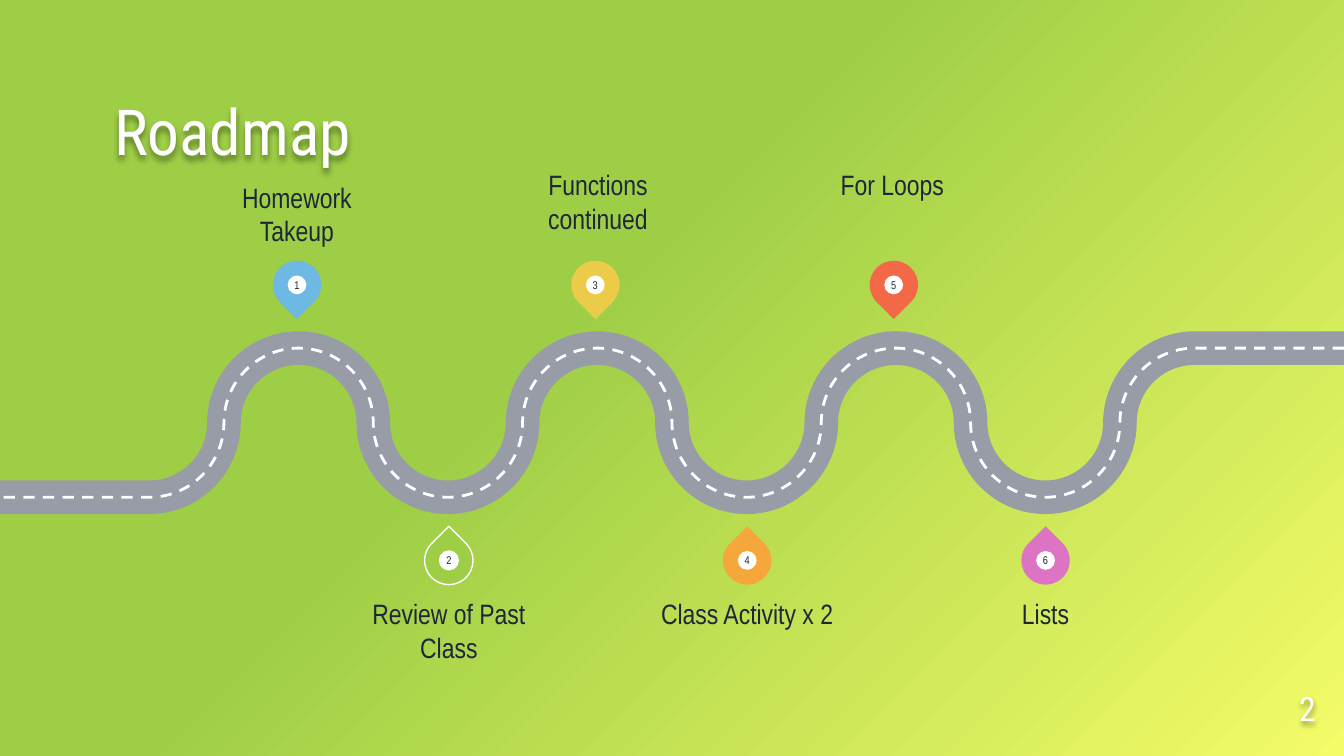
from copy import deepcopy

from lxml import etree
from pptx import Presentation
from pptx.dml.color import RGBColor
from pptx.enum.dml import MSO_LINE
from pptx.enum.shapes import MSO_SHAPE
from pptx.enum.text import MSO_ANCHOR, PP_ALIGN
from pptx.oxml import parse_xml
from pptx.oxml.ns import nsdecls, qn
from pptx.util import Inches, Pt

TEAR, OVAL = MSO_SHAPE.TEAR, MSO_SHAPE.OVAL
TOP, MIDDLE, BOTTOM = MSO_ANCHOR.TOP, MSO_ANCHOR.MIDDLE, MSO_ANCHOR.BOTTOM
LEFT, CENTER, RIGHT = PP_ALIGN.LEFT, PP_ALIGN.CENTER, PP_ALIGN.RIGHT
DASH = MSO_LINE.DASH

WIDTH = 10
HEIGHT = WIDTH * 9 / 16
HEAD_FONT, BODY_FONT = "Roboto Condensed", "Arial Narrow"
COLORS = {
    "green": "9ECE46", "yellow": "F4FC68", "white": "FFFFFF", "ink": "1E263A",
    "road": "989CA7", "blue": "6DB9E4", "gold": "ECCB49", "red": "F36846",
    "orange": "F5A73B", "pink": "DD73C3",
}
# label, pin colour, left and top of the label, its vertical anchor
STOPS = [
    ("Homework Takeup", "blue", 1.51, 1.26, BOTTOM),
    ("Review of Past Class", "green", 2.64, 4.44, TOP),
    ("Functions continued", "gold", 3.75, 1.25, TOP),
    ("Class Activity x 2", "orange", 4.86, 4.44, TOP),
    ("For Loops", "red", 5.94, 1.25, TOP),
    ("Lists", "pink", 7.08, 4.44, TOP),
]
UPPER_PIN = (2.03, 1.94)
LOWER_PIN = (3.16, 3.99)
PIN_PITCH = 2.22
QUARTER_TURNS = 14
BEND = 0.55  # handle length that makes a curve a quarter circle
SHADOW = (
    f'<a:effectLst {nsdecls("a")}><a:outerShdw blurRad="38100" dist="25400" '
    'dir="5400000" algn="tl" rotWithShape="0"><a:srgbClr val="000000">'
    '<a:alpha val="40000"/></a:srgbClr></a:outerShdw></a:effectLst>'
)


def color(name):
    return RGBColor.from_string(COLORS[name])


def write(shape, text, size, font, ink, align, anchor):
    frame = shape.text_frame
    frame.word_wrap = True
    frame.vertical_anchor = anchor
    frame.margin_left = frame.margin_right = 0
    frame.margin_top = frame.margin_bottom = 0
    para = frame.paragraphs[0]
    para.alignment = align
    span = para.add_run()
    span.text = text
    span.font.size = Pt(size)
    span.font.name = font
    span.font.color.rgb = color(ink)


def add_text(page, box, *style):
    text_box = page.shapes.add_textbox(*map(Inches, box))
    write(text_box, *style)
    return text_box


def add_heading(page, box, text, size, align):
    """Place white text with a soft shadow."""
    heading = add_text(page, box, text, size, HEAD_FONT, "white", align, BOTTOM)
    heading.text_frame.paragraphs[0].line_spacing = 0.9
    heading._element.spPr.append(parse_xml(SHADOW))


def paint_background(page):
    fill = page.background.fill
    fill.gradient()
    fill.gradient_angle = 315
    first = page.element.find(".//" + qn("a:gs"))
    first.addnext(deepcopy(first))
    stops = [(0, "green"), (0.42, "green"), (1, "yellow")]
    for stop, (position, name) in zip(fill.gradient_stops, stops):
        stop.position = position
        stop.color.rgb = color(name)


def road_points(left, top, width, height):
    """Return the road from right to left, three points for each quarter turn."""
    step, radius = width / 18, height / 2
    levels = [top, top + radius, top + height, top + radius]
    knots = [(left + width - step * (2 + turn), levels[turn % 4])
             for turn in range(QUARTER_TURNS + 1)]
    points = [(left + width, top), knots[0]]
    for turn, ((x1, y1), (x2, y2)) in enumerate(zip(knots, knots[1:])):
        dx, dy = BEND * (x2 - x1), BEND * (y2 - y1)
        if turn % 2 == 0:
            points += [(x1 + dx, y1), (x2, y2 - dy), (x2, y2)]
        else:
            points += [(x1, y1 + dy), (x2 - dx, y2), (x2, y2)]
    return points + [(left, top + height)]


def add_road(page, box, name, width, dash=None):
    start, *rest = [(Inches(x), Inches(y)) for x, y in road_points(*box)]
    builder = page.shapes.build_freeform(*start)
    builder.add_line_segments(rest, close=False)
    road = builder.convert_to_shape()
    road.shadow.inherit = False
    road.fill.background()
    road.line.color.rgb = color(name)
    road.line.width = Pt(width)
    if dash:
        road.line.dash_style = dash
    segments = road._element.findall(".//" + qn("a:lnTo"))[1:-1]
    for index in range(0, len(segments), 3):
        curve = etree.Element(qn("a:cubicBezTo"))
        segments[index].addprevious(curve)
        for segment in segments[index:index + 3]:
            curve.append(segment[0])
            segment.getparent().remove(segment)


def add_pin(page, box, number, name, rotation, outlined):
    """Place a teardrop marker with a numbered dot at its centre."""
    left, top, size = box
    dot = 0.14
    inset = (size - dot) / 2
    group = page.shapes.add_group_shape()
    for preset, x, y, side, fill in [
        (TEAR, left, top, size, name),
        (OVAL, left + inset, top + inset, dot, "white"),
    ]:
        part = group.shapes.add_shape(
            preset, Inches(x), Inches(y), Inches(side), Inches(side))
        part.shadow.inherit = False
        part.fill.solid()
        part.fill.fore_color.rgb = color(fill)
        if outlined:
            part.line.color.rgb = color("white")
            part.line.width = Pt(0.75)
        else:
            part.line.fill.background()
        if preset == TEAR:
            part.rotation = rotation
        else:
            write(part, str(number), 6, BODY_FONT, "ink", CENTER, MIDDLE)


def add_stop(page, index, label, name, label_left, label_top, anchor):
    column, lower = divmod(index, 2)
    left, top = LOWER_PIN if lower else UPPER_PIN
    add_pin(page, (left + PIN_PITCH * column, top, 0.36), index + 1, name,
            315 if lower else 135, outlined=name == "green")
    add_text(page, (label_left, label_top, 1.4, 0.58),
             label, 15, BODY_FONT, "ink", CENTER, anchor)


def build_roadmap(page):
    paint_background(page)
    add_heading(page, (0.85, 0.83, 8.3, 0.43), "Roadmap", 34, LEFT)
    add_heading(page, (9.19, 5.08, 0.6, 0.34), "2", 18, RIGHT)
    road_box = (0, 2.59, WIDTH, 1.11)
    add_road(page, road_box, "road", 18)
    add_road(page, road_box, "white", 1.5, DASH)
    for index, stop in enumerate(STOPS):
        add_stop(page, index, *stop)


def main():
    deck = Presentation()
    deck.slide_width, deck.slide_height = Inches(WIDTH), Inches(HEIGHT)
    build_roadmap(deck.slides.add_slide(deck.slide_layouts[6]))
    deck.save("out.pptx")


if __name__ == "__main__":
    main()
